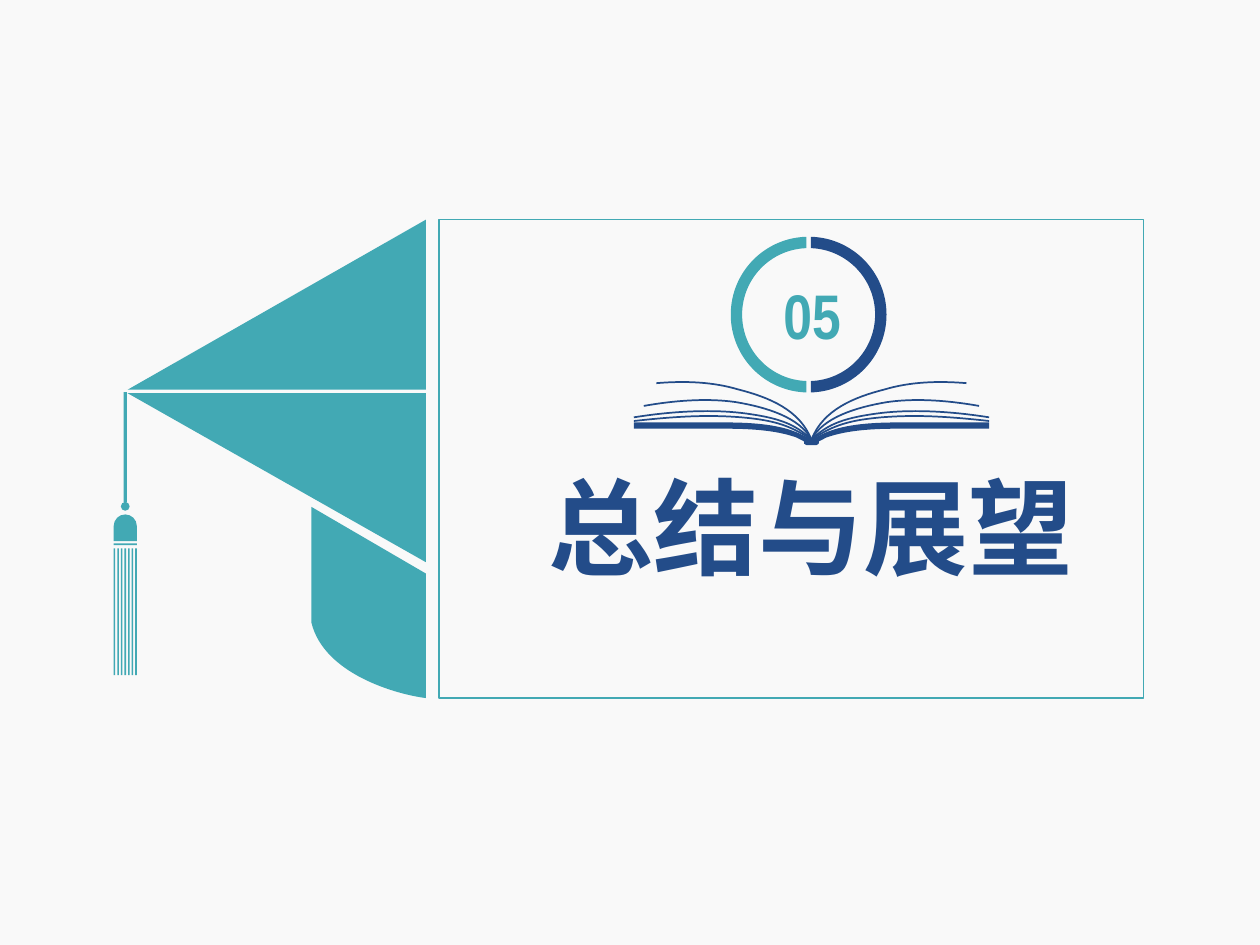
from dataclasses import dataclass
from math import acos, cos, pi, sin, tan

from lxml.etree import SubElement
from pptx import Presentation
from pptx.dml.color import RGBColor
from pptx.enum.shapes import MSO_SHAPE
from pptx.enum.text import MSO_ANCHOR, MSO_AUTO_SIZE, PP_ALIGN
from pptx.oxml.ns import qn
from pptx.util import Pt


@dataclass(frozen=True)
class Theme:
    """Colours, fonts and sizes of the section slide."""
    paper: RGBColor = RGBColor(0xF9, 0xF9, 0xF9)
    teal: RGBColor = RGBColor(0x42, 0xA9, 0xB4)
    navy: RGBColor = RGBColor(0x23, 0x4C, 0x89)
    title_font: str = "Noto Sans CJK SC"
    number_font: str = "Arial Narrow"
    title_size: int = 60
    number_size: int = 36
    line_width: int = 1


@dataclass(frozen=True)
class Box:
    """A region of the slide, in points."""
    left: float
    top: float
    width: float
    height: float

    def lengths(self):
        """Return the four lengths for a shape call."""
        return Pt(self.left), Pt(self.top), Pt(self.width), Pt(self.height)


THEME = Theme()


def is_curve(segment):
    """Tell a cubic curve (two handles and an end) from a plain point."""
    return len(segment) == 3


def arc(center, radius, start, end, pieces=2):
    """Return a start point and the cubic curves of a circular arc."""
    step = (end - start) / pieces
    handle = 4 / 3 * tan(step / 4)

    def spot(angle, pull=0):
        """Return a point on the circle, pulled along its tangent."""
        return (center[0] + radius * (cos(angle) - pull * sin(angle)),
                center[1] + radius * (sin(angle) + pull * cos(angle)))

    angles = [start + step * index for index in range(pieces)]
    return [spot(start)] + [(spot(a, handle), spot(a + step, -handle), spot(a + step))
                            for a in angles]


def bar(left, top, right, bottom):
    """Return the corners of an upright rectangle."""
    return [(left, top), (right, top), (right, bottom), (left, bottom)]


def mirror(contour, axis):
    """Reflect a contour across a vertical axis."""
    return [tuple(mirror(segment, axis)) if is_curve(segment)
            else (2 * axis - segment[0], segment[1]) for segment in contour]


def backwards(contour):
    """Return the same contour drawn from its end to its start."""
    ends = [segment[2] if is_curve(segment) else segment for segment in contour]
    pairs = list(zip(contour[1:], ends))[::-1]
    return ends[-1:] + [(segment[1], segment[0], end) if is_curve(segment) else end
                        for segment, end in pairs]


def draw(shapes, box, contours, color, filled=True):
    """Draw contours given relative to the box as one filled or stroked outline."""
    builder = None
    for contour in contours:
        points = [point for segment in contour
                  for point in (segment if is_curve(segment) else [segment])]
        placed = [(Pt(box.left + x), Pt(box.top + y)) for x, y in points]
        if builder is None:
            builder = shapes.build_freeform(*placed[0], scale=1.0)
        else:
            builder.move_to(*placed[0])
        builder.add_line_segments(placed[1:], close=filled)
    shape = builder.convert_to_shape()
    nodes = iter(list(shape._element.iter(qn("a:lnTo"))))
    for segment in (part for contour in contours for part in contour[1:]):
        node = next(nodes)
        if is_curve(segment):
            node.tag = qn("a:cubicBezTo")
            for extra in (next(nodes), next(nodes)):
                node.append(extra[0])
                extra.getparent().remove(extra)
    shape.shadow.inherit = False
    if filled:
        shape.fill.solid()
        shape.fill.fore_color.rgb = color
        shape.line.fill.background()
    else:
        shape.fill.background()
        shape.line.color.rgb = color
        shape.line.width = Pt(THEME.line_width)


def write(shape, box, text, font, size, color):
    """Place a shape and give it one centred bold line."""
    shape.left, shape.top, shape.width, shape.height = box.lengths()
    frame = shape.text_frame
    frame.text = text
    frame.word_wrap = True
    frame.auto_size = MSO_AUTO_SIZE.NONE
    frame.vertical_anchor = MSO_ANCHOR.MIDDLE
    frame.margin_left = frame.margin_right = frame.margin_top = frame.margin_bottom = 0
    para = frame.paragraphs[0]
    para.alignment = PP_ALIGN.CENTER
    span = para.runs[0]
    span.font.name, span.font.size, span.font.bold = font, Pt(size), True
    span.font.color.rgb = color
    SubElement(span.font._element, qn("a:ea"), typeface=font)
    return para


def add_frame(page, box):
    """Draw the thin frame around the heading."""
    frame = page.shapes.add_shape(MSO_SHAPE.RECTANGLE, *box.lengths())
    frame.shadow.inherit = False
    frame.fill.background()
    frame.line.color.rgb = THEME.teal
    frame.line.width = Pt(THEME.line_width)


def add_ring(page, box, thickness=6.5, gap=2.6):
    """Draw a two-coloured ring split by a vertical gap."""
    shapes = page.shapes.add_group_shape().shapes
    outer = box.width / 2
    inner = outer - thickness
    wide, narrow = acos(gap / 2 / outer), acos(gap / 2 / inner)
    center = (outer, outer)
    right = arc(center, outer, -wide, wide) + arc(center, inner, narrow, -narrow)
    draw(shapes, box, [mirror(right, outer)], THEME.teal)
    draw(shapes, box, [right], THEME.navy)


def add_cap(page, box):
    """Draw the half graduation cap with its tassel."""
    shapes = page.shapes.add_group_shape().shapes
    edge, tip = box.width, 7.9
    upper = [(edge, 0), (tip, 97.2), (edge, 97.2)]
    lower = [(tip, 99.2), (edge, 195.8), (edge, 99.2)]
    skull = [(113, 230.4), ((120.2, 259.9), (162, 271.4), (edge, box.height)),
             (edge, 202.3), (113, 164.2)]
    draw(shapes, box, [upper, lower, skull], THEME.teal)

    radius, thread, count = 6.6, 0.9, 7
    pitch = (2 * radius - thread) / (count - 1)
    cord = bar(radius - 0.9, 98.6, radius + 0.9, 161.4)
    bead = arc((radius, 163.9), 2.5, 0, 2 * pi, pieces=4)
    dome = arc((radius, 175.1), radius, pi, 2 * pi) + [(2 * radius, 183.8), (0, 183.8)]
    band = bar(0, 185, 2 * radius, 186)
    threads = [bar(i * pitch, 187.9, i * pitch + thread, 260.3) for i in range(count)]
    draw(shapes, box, [cord, bead, dome, band, *threads], THEME.teal)


def add_book(page, box):
    """Draw the open book, mirrored across its spine."""
    shapes = page.shapes.add_group_shape().shapes
    half = box.width / 2
    leaves = [
        [(9.4, 23.8), (21.6, 20.9), (37.4, 18.7), (52.6, 16.6), (74.9, 16.6), (half, 20.9)],
        [(13, 24.5), (24.5, 22.3), (40.3, 20.9), (59, 19.4), (76.3, 20.2), (half, 23)],
        [(6.5, 20.9), (25.9, 15.1), (43.2, 12.2), (57.6, 10.1), (75.6, 10.8), (95.8, 14.4)],
        [(6.5, 16.6), (24.5, 9.4), (41.8, 5), (56.2, 0.7), (72, 0), (88.6, 1.4)],
    ]
    spine_box = Box(box.left + half, box.top, half, box.height)
    for leaf in leaves:
        side = [(0, 33.8), tuple(leaf[:3]), tuple(leaf[3:])]
        for line in (side, mirror(side, 0)):
            draw(shapes, spine_box, [line], THEME.navy, filled=False)

    cover = [
        (0, 33.1), (1, 33.1), (4.3, 31.4),
        ((14.4, 25.9), (28.8, 23.8), (49, 23.8)),
        (half, 23.8), (half, 27.4), (49, 27.4),
        ((31.7, 27.4), (18.7, 28.8), (8.6, 32.4)),
        (4.3, 34.6), ((4.6, 35.6), (4, 36.7), (2.9, 36.7)), (0, 36.7),
    ]
    draw(shapes, spine_box, [cover + backwards(mirror(cover, 0))], THEME.navy)


def build_section(deck):
    """Build the section slide."""
    page = deck.slides.add_slide(deck.slide_layouts[5])
    page.background.fill.solid()
    page.background.fill.fore_color.rgb = THEME.paper
    add_ring(page, Box(417.6, 135.3, 89, 89))
    title = write(page.shapes.title, Box(306.7, 272.2, 313.9, 65.5), "总结与展望",
                  THEME.title_font, THEME.title_size, THEME.navy)
    title.line_spacing = 0.9
    number_box = Box(433.4, 162, 61.2, 35.3)
    write(page.shapes.add_textbox(*number_box.lengths()), number_box, "05",
          THEME.number_font, THEME.number_size, THEME.teal)
    add_cap(page, Box(65, 125.5, 178.4, 273.4))
    add_frame(page, Box(251, 125.5, 402.5, 273.4))
    add_book(page, Box(362.2, 217.6, 203, 36.7))


if __name__ == "__main__":
    deck = Presentation()
    deck.slide_width, deck.slide_height = Pt(720), Pt(540)
    build_section(deck)
    deck.save("out.pptx")
